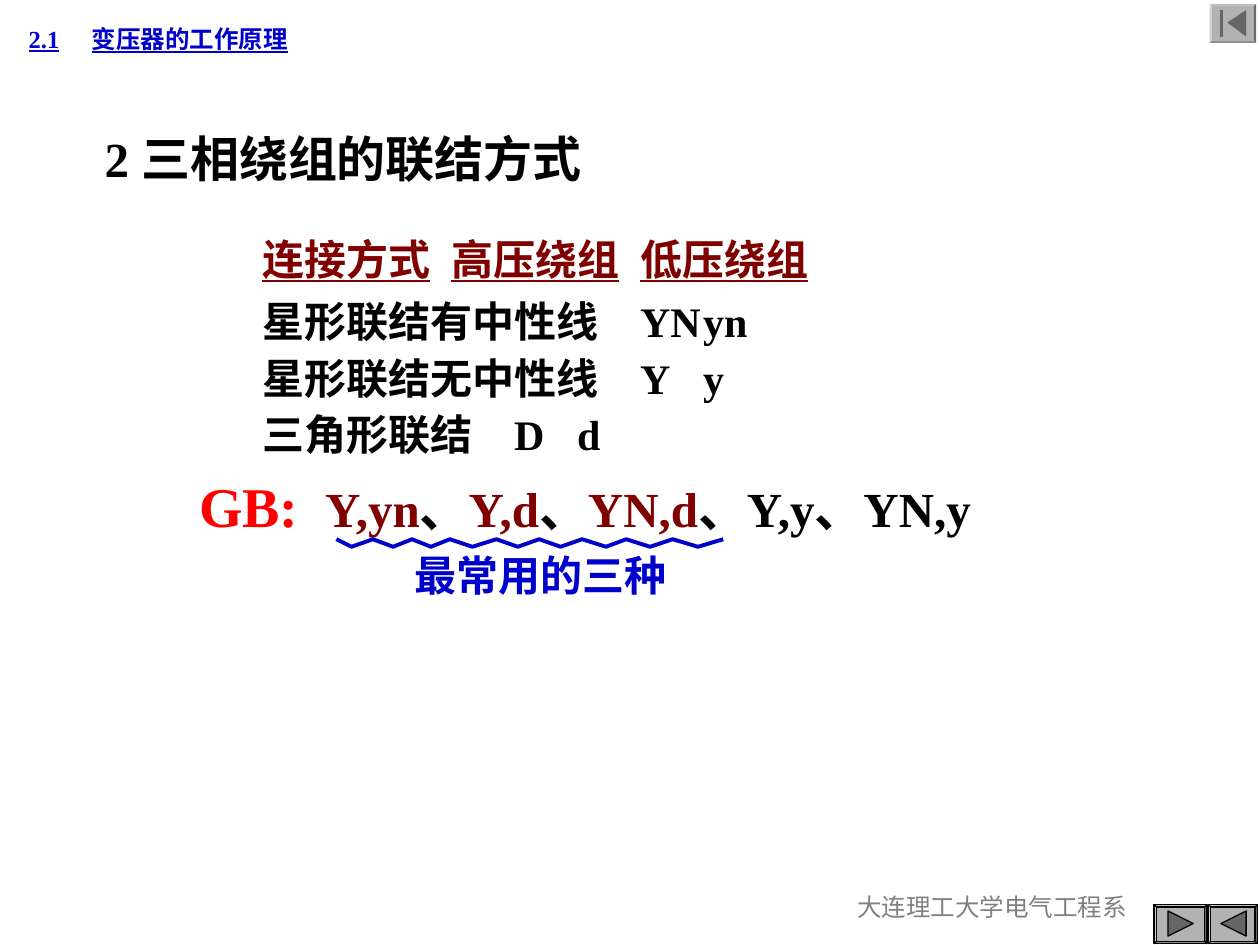
"""Build the slide on how three-phase transformer windings are connected."""
from lxml.etree import SubElement
from pptx import Presentation
from pptx.dml.color import RGBColor as RGB
from pptx.enum.shapes import MSO_SHAPE as Shape
from pptx.enum.text import MSO_ANCHOR as Anchor, MSO_AUTO_SIZE as Fit, PP_ALIGN as Align
from pptx.oxml.ns import qn
from pptx.util import Inches, Pt

BLACK = RGB(0x00, 0x00, 0x00)
MAROON = RGB(0x80, 0x00, 0x00)
RED = RGB(0xFF, 0x00, 0x00)
BLUE = RGB(0x00, 0x00, 0xCC)
GRAY = RGB(0x80, 0x80, 0x80)
SILVER = RGB(0xB2, 0xB2, 0xB2)
DARK = RGB(0x66, 0x66, 0x66)


def write(para, runs, tabs=()):
    props = para._p.get_or_add_pPr()
    props.set("marL", "0")
    props.set("indent", "0")
    SubElement(props, qn("a:buNone"))
    if tabs:
        stops = SubElement(props, qn("a:tabLst"))
        for stop in tabs:
            SubElement(stops, qn("a:tab"), pos=str(Inches(stop)), algn="l")
    for text, size, color, bold, under in runs:
        run = para.add_run()
        run.text = text
        font = run.font
        font.name = "Times New Roman"
        font.size = Pt(size)
        font.color.rgb = color
        font.bold = bold
        font.underline = under


def outline(points, closed):
    points = [(Inches(x), Inches(y)) for x, y in points]
    form = slide.shapes.build_freeform(*points[0], scale=1.0)
    form.add_line_segments(points[1:], close=closed)
    shape = form.convert_to_shape()
    shape.shadow.inherit = False
    return shape


deck = Presentation()
deck.slide_width, deck.slide_height = Inches(10), Inches(7.5)
slide = deck.slides.add_slide(deck.slide_layouts[1])

title = slide.shapes.title
title.left, title.top = Inches(0.73), Inches(0.97)
title.width, title.height = Inches(5.86), Inches(0.57)
title.text_frame.vertical_anchor = Anchor.TOP
title.text_frame.auto_size = Fit.NONE
head = title.text_frame.paragraphs[0]
head.alignment = Align.LEFT
write(head, [("2 三相绕组的联结方式", 28, BLACK, True, False)])

body = slide.placeholders[1]
body.left, body.top = Inches(1.48), Inches(1.8)
body.width, body.height = Inches(7.23), Inches(4.59)
frame = body.text_frame
frame.auto_size = Fit.NONE
pairs = [("GB:", 32, RED), ("\t", 28, BLACK), ("Y,yn", 28, MAROON),
         ("、", 28, BLACK), ("Y,d", 28, MAROON), ("、", 28, BLACK),
         ("YN,d", 28, MAROON), ("、Y,y、YN,y", 28, BLACK)]
rows = [
    (0, (0.68, 3.23, 5.17), [("\t", 24, MAROON, True, False),
                             ("连接方式\t高压绕组\t低压绕组", 24, MAROON, True, True)]),
    (3, (0.44, 4.03, 6.09), [("\t", 28, BLACK, True, False),
                             ("星形联结有中性线\tYN\tyn", 24, BLACK, True, False)]),
    (3, (0.39, 4.03, 6.09), [("\t星形联结无中性线\tY\ty", 24, BLACK, True, False)]),
    (3, (0.39, 3.94, 6.02), [("\t三角形联结\tD\td", 24, BLACK, True, False)]),
    (7, (1.08,), [(*pair, True, False) for pair in pairs]),
]
for i, (gap, tabs, runs) in enumerate(rows):
    para = frame.add_paragraph() if i else frame.paragraphs[0]
    para.space_before = Pt(gap)
    write(para, runs, tabs)

notes = [
    (6.29, 7.03, 3.17, 0.5, "大连理工大学电气工程系", 14, GRAY, False, False, Align.CENTER, ()),
    (3.19, 4.31, 2.2, 0.5, "最常用的三种", 24, BLUE, True, False, Align.LEFT, ()),
    (0.13, 0.14, 3.23, 0.34, "2.1\t变压器的工作原理", 14, BLUE, True, True, Align.LEFT, (0.43,)),
]
for x, y, w, h, text, size, color, bold, under, align, tabs in notes:
    box = slide.shapes.add_textbox(Inches(x), Inches(y), Inches(w), Inches(h))
    box.text_frame.word_wrap = True
    para = box.text_frame.paragraphs[0]
    para.alignment = align
    write(para, [(text, size, color, bold, under)], tabs)

turns = [2.67, 2.79, 2.96, 3.12, 3.27, 3.42, 3.57, 3.75, 3.94, 4.11,
         4.28, 4.45, 4.62, 4.81, 4.97, 5.16, 5.34, 5.54, 5.74]
wave = outline([(x, 4.34 if i % 2 else 4.28) for i, x in enumerate(turns)], False)
wave.fill.background()
wave.line.color.rgb = BLUE
wave.line.width = Pt(2.25)

keys = [
    (9.16, 7.18, 0.42, True, [[(9.27, 7.23), (9.47, 7.33), (9.27, 7.43)]]),
    (9.59, 7.18, 0.39, True, [[(9.69, 7.33), (9.89, 7.23), (9.89, 7.43)]]),
    (9.6, 0.03, 0.37, False, [[(9.74, 0.18), (9.89, 0.08), (9.89, 0.29)],
                              [(9.68, 0.08), (9.71, 0.08), (9.71, 0.29), (9.68, 0.29)]]),
]
for x, y, w, lined, marks in keys:
    key = slide.shapes.add_shape(Shape.BEVEL, Inches(x), Inches(y), Inches(w), Inches(0.31))
    key.adjustments[0] = 0.06
    key.shadow.inherit = False
    icons = [outline(mark, True) for mark in marks]
    for part in [key, *icons]:
        part.fill.solid()
        part.fill.fore_color.rgb = SILVER if part is key else DARK
        if lined:
            part.line.color.rgb = BLACK
            part.line.width = Pt(0.75)
        else:
            part.line.fill.background()

deck.save("out.pptx")
